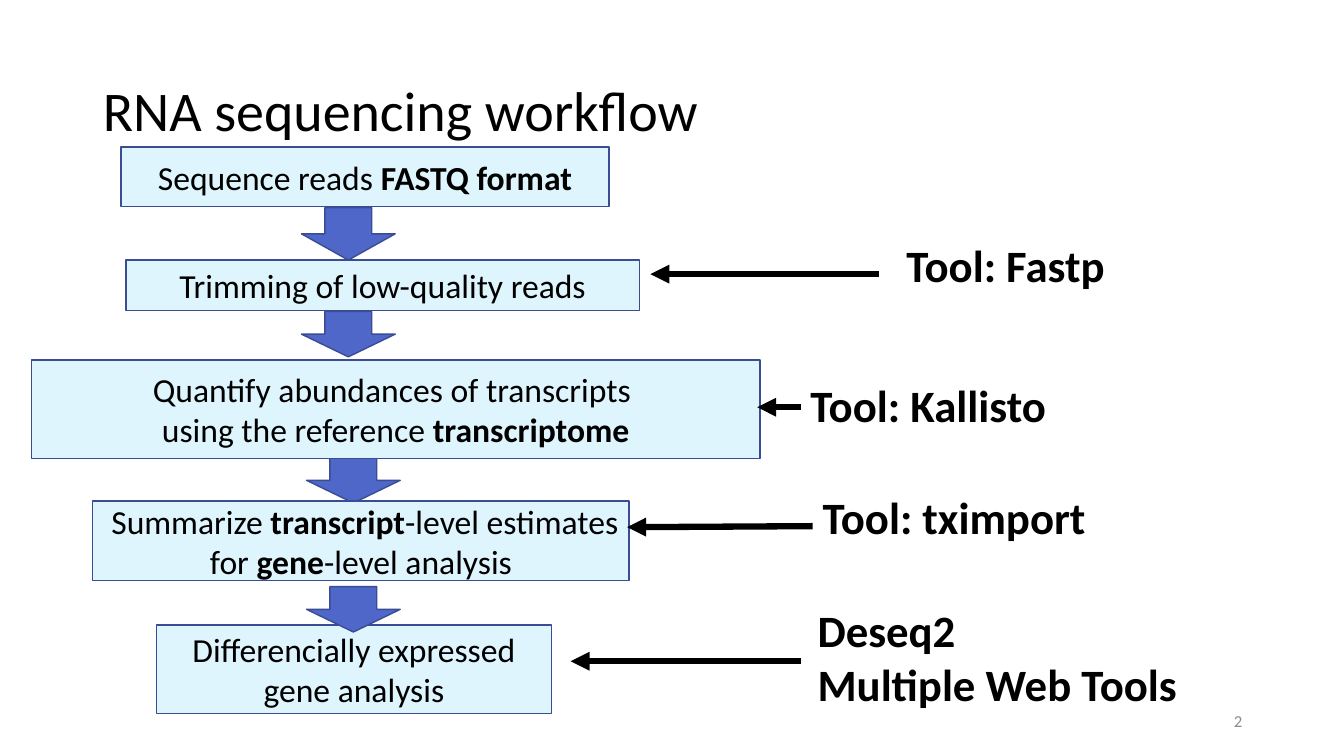
from dataclasses import dataclass

from pptx import Presentation
from pptx import util as u
from pptx.dml.color import RGBColor
from pptx.enum import shapes, text
from pptx.oxml.ns import qn
from lxml import etree


@dataclass(frozen=True)
class Theme:
    """Colours, font and type sizes of the slide."""
    font: str = "Calibri"
    ink: str = "000000"
    muted: str = "8C8C8C"
    box: str = "DFF5FD"
    arrow: str = "4E67C8"
    edge: str = "3A4C94"
    title_size: float = 40
    step_size: float = 24
    tool_size: float = 32
    number_size: float = 12
    edge_width: float = 1
    pointer_width: float = 4.5


def inches(*lengths):
    """Convert plain numbers to lengths."""
    return [u.Inches(n) for n in lengths]


class Builder:
    """Draws styled elements on the current slide."""

    def __init__(self, slide, theme):
        """Keep the slide and its theme."""
        self.s, self.theme = slide, theme

    def style(self, r, size, bold=False, color=None):
        """Format one run."""
        r.font.name, r.font.size, r.font.bold = self.theme.font, u.Pt(size), bold
        r.font.color.rgb = RGBColor.from_string(color or self.theme.ink)

    def title(self, words, at):
        """Fill and place the title placeholder."""
        sp = self.s.shapes.title
        sp.left, sp.top, sp.width, sp.height = inches(*at)
        tf = sp.text_frame
        tf.text = words
        tf.auto_size = text.MSO_AUTO_SIZE.NONE
        tf.vertical_anchor = text.MSO_ANCHOR.MIDDLE
        p = tf.paragraphs[0]
        p.alignment, p.line_spacing = text.PP_ALIGN.LEFT, 0.9
        self.style(p.runs[0], self.theme.title_size)

    def shape(self, kind, at, fill):
        """Add a filled, outlined preset shape."""
        sp = self.s.shapes.add_shape(kind, *inches(*at))
        sp.shadow.inherit = False
        sp.fill.solid()
        sp.fill.fore_color.rgb = RGBColor.from_string(fill)
        sp.line.color.rgb = RGBColor.from_string(self.theme.edge)
        sp.line.width = u.Pt(self.theme.edge_width)
        return sp

    def step(self, words, at):
        """Add a workflow box; words between ** marks are bold."""
        sp = self.shape(shapes.MSO_SHAPE.RECTANGLE, at, self.theme.box)
        tf = sp.text_frame
        tf.word_wrap = True
        tf.vertical_anchor = text.MSO_ANCHOR.MIDDLE
        p = tf.paragraphs[0]
        p.alignment = text.PP_ALIGN.CENTER
        for i, chunk in enumerate(words.split("**")):
            for j, line in enumerate(chunk.split("\n")):
                if j:
                    p.add_line_break()
                if line:
                    r = p.add_run()
                    r.text = line
                    self.style(r, self.theme.step_size, bold=i % 2 == 1)

    def down_arrow(self, left, top, height=0.45):
        """Add a block arrow to the next step."""
        self.shape(shapes.MSO_SHAPE.DOWN_ARROW, (left, top, 0.93, height), self.theme.arrow)

    def label(self, words, at, size, bold=False, color=None, align=None, wrap=False):
        """Add a text box."""
        tf = self.s.shapes.add_textbox(*inches(*at)).text_frame
        tf.text = words
        tf.word_wrap = wrap
        tf.vertical_anchor = text.MSO_ANCHOR.MIDDLE
        for p in tf.paragraphs:
            p.alignment = align
            for r in p.runs:
                self.style(r, size, bold, color)

    def pointer(self, start, end):
        """Add a line with an arrowhead at its end."""
        line = self.s.shapes.add_connector(shapes.MSO_CONNECTOR.STRAIGHT, *inches(*start, *end))
        line.line.color.rgb = RGBColor.from_string(self.theme.ink)
        line.line.width = u.Pt(self.theme.pointer_width)
        etree.SubElement(line.line._get_or_add_ln(), qn("a:tailEnd"), type="triangle")
        etree.SubElement(line._element.spPr, qn("a:effectLst"))


STEPS = [
    ("Sequence reads **FASTQ format**", (1.2, 1.46, 4.84, 0.59)),
    ("Trimming of low-quality reads", (1.25, 2.58, 5.09, 0.5)),
    ("Quantify abundances of transcripts \nusing the reference **transcriptome**",
     (0.31, 3.57, 7.23, 0.98)),
    ("\u00a0Summarize **transcript**-level estimates for **gene**-level analysis",
     (0.92, 4.97, 5.32, 0.79)),
    ("Differencially expressed gene analysis", (1.55, 6.2, 3.92, 0.88)),
]
TOOLS = [
    ("Tool: Fastp", (8.89, 2.3, 2.19, 0.64), (8.72, 2.72), (6.45, 2.72)),
    ("Tool: Kallisto", (7.94, 3.69, 2.57, 0.64), (7.94, 4.04), (7.51, 4.04)),
    ("Tool: tximport", (8.06, 4.8, 2.84, 0.64), (8.06, 5.22), (6.22, 5.23)),
    ("Deseq2\nMultiple Web Tools", (8.01, 5.92, 3.81, 1.18), (7.94, 6.56), (5.66, 6.56)),
]


def main():
    """Build and save the workflow slide."""
    theme = Theme()
    prs = Presentation()
    prs.slide_width, prs.slide_height = inches(13.33, 7.5)
    b = Builder(prs.slides.add_slide(prs.slide_layouts[5]), theme)
    b.title("RNA sequencing workflow", (0.92, 0.4, 11.5, 1.45))

    # The third arrow tucks under its step; the last one overlaps its step.
    b.down_arrow(2.99, 2.06, 0.52)
    b.down_arrow(2.99, 3.09)
    b.down_arrow(3.04, 4.54)
    for words, at in STEPS:
        b.step(words, at)
    b.down_arrow(3.04, 5.82)

    for words, at, start, end in TOOLS:
        b.label(words, at, theme.tool_size, bold=True)
        b.pointer(start, end)
    b.label("2", (9.42, 6.95, 3, 0.4), theme.number_size, color=theme.muted,
            align=text.PP_ALIGN.RIGHT, wrap=True)
    prs.save("out.pptx")


main()
